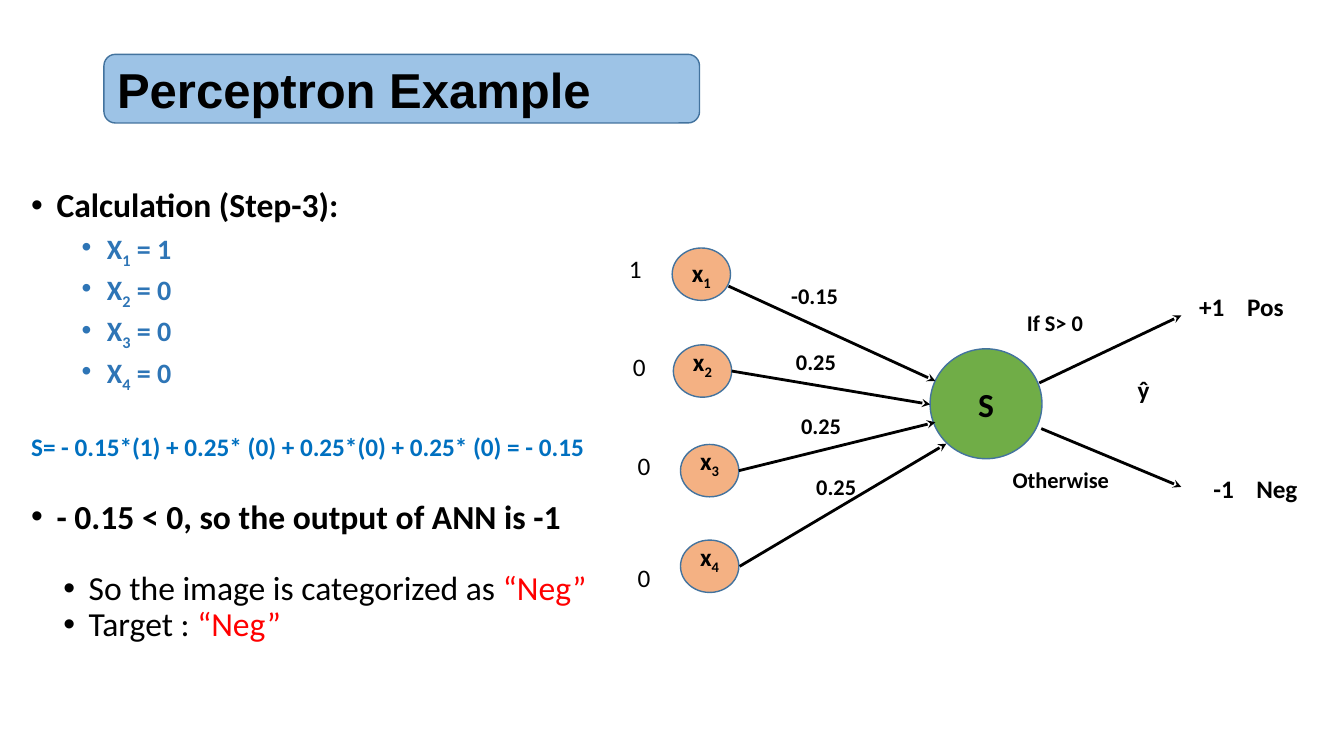
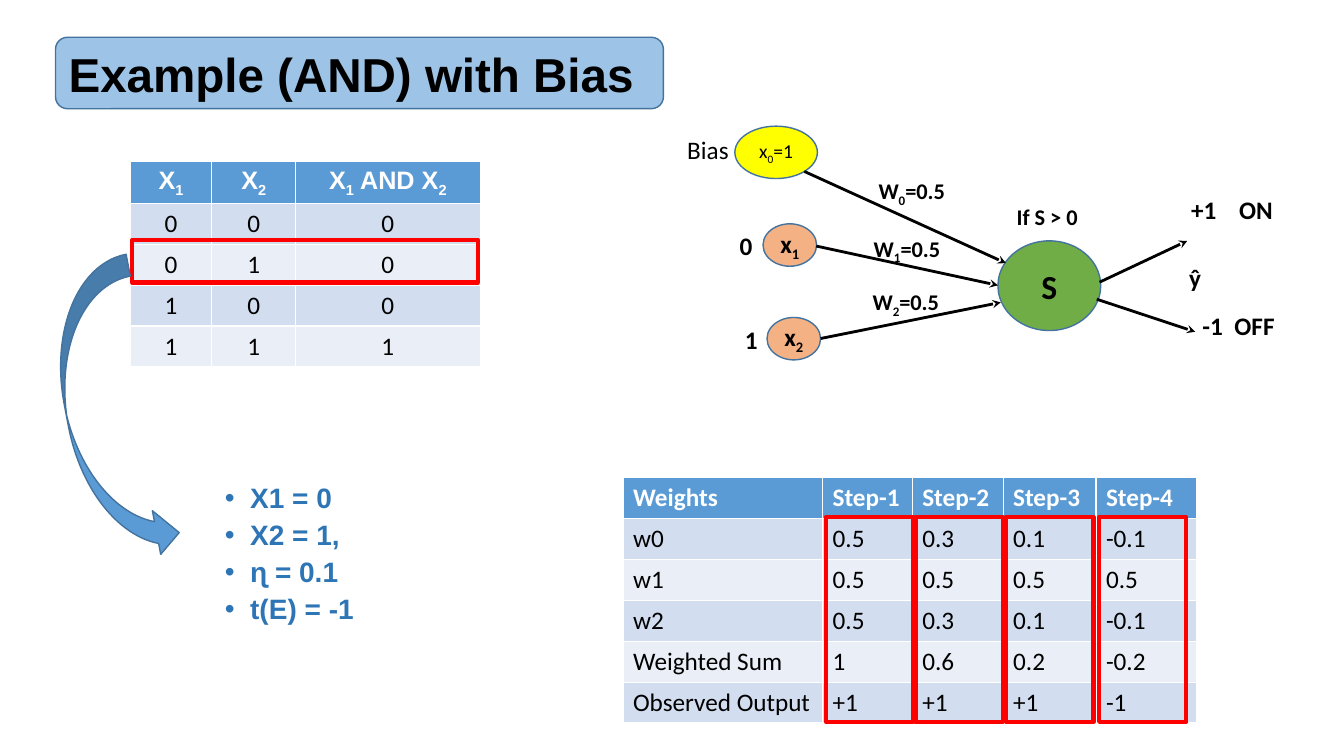
from dataclasses import dataclass
from typing import NamedTuple

from lxml import etree
from pptx import Presentation
from pptx.dml.color import RGBColor
from pptx.enum.shapes import MSO_CONNECTOR, MSO_SHAPE
from pptx.enum.text import MSO_ANCHOR, MSO_AUTO_SIZE, PP_ALIGN
from pptx.oxml.ns import qn
from pptx.util import Cm, Pt

STRAIGHT = MSO_CONNECTOR.STRAIGHT
ELLIPSE, RECTANGLE = MSO_SHAPE.OVAL, MSO_SHAPE.RECTANGLE
ROUNDED, CURVED_ARROW = MSO_SHAPE.ROUNDED_RECTANGLE, MSO_SHAPE.CURVED_RIGHT_ARROW
MIDDLE = MSO_ANCHOR.MIDDLE
LEFT, CENTER = PP_ALIGN.LEFT, PP_ALIGN.CENTER

BLACK = RGBColor(0x00, 0x00, 0x00)
WHITE = RGBColor(0xFF, 0xFF, 0xFF)
RED = RGBColor(0xFF, 0x00, 0x00)
YELLOW = RGBColor(0xFF, 0xFF, 0x00)
ORANGE = RGBColor(0xF4, 0xB1, 0x83)
GREEN = RGBColor(0x70, 0xAD, 0x47)
BAND_BLUE = RGBColor(0x9D, 0xC3, 0xE6)
OUTLINE_BLUE = RGBColor(0x43, 0x73, 0x9E)
ACCENT_BLUE = RGBColor(0x5B, 0x9B, 0xD5)
TEXT_BLUE = RGBColor(0x2E, 0x75, 0xB6)
FORMULA_BLUE = RGBColor(0x00, 0x70, 0xC0)
ROW_DARK = RGBColor(0xD2, 0xDE, 0xEF)
ROW_LIGHT = RGBColor(0xEA, 0xEF, 0xF7)

TITLE_AND_CONTENT = 1
ROW_HEIGHT = 1.03


class Box(NamedTuple):
    """Left, top, width and height in centimetres."""
    left: float
    top: float
    width: float
    height: float

    def lengths(self) -> list:
        return [Cm(value) for value in self]


class Style(NamedTuple):
    size: int = 18
    color: RGBColor = BLACK
    bold: bool = True
    font: str = "Calibri"


class Arrow(NamedTuple):
    start_x: float
    start_y: float
    end_x: float
    end_y: float


@dataclass
class Node:
    text: str
    box: Box
    fill: RGBColor = ORANGE
    style: Style = Style()
    lift: float = 0


@dataclass
class Label:
    text: str
    left: float
    top: float
    width: float = 2.0
    style: Style = Style()
    tab: float = 0


@dataclass
class ListItem:
    text: str
    style: Style
    level: int = 0
    indent: float = 0.64
    space_before: float = 0
    bullet: bool = True
    red_ending: str = ""


SMALL = Style(16)
PLAIN = Style(bold=False)
LARGE = Style(24)
LARGE_PLAIN = Style(24, bold=False)
INPUT_VALUE = Style(20, TEXT_BLUE)
TRAINING_VALUE = Style(20, TEXT_BLUE, font="Arial")


def add_run(paragraph, text: str, style: Style, subscript: bool = False) -> None:
    run = paragraph.add_run()
    run.text = text
    run.font.size = Pt(style.size)
    run.font.bold = style.bold
    run.font.name = style.font
    run.font.color.rgb = style.color
    if subscript:
        run.font._element.set("baseline", "-25000")


def write(paragraph, text: str, style: Style, alignment=LEFT) -> None:
    """Write text in which the character after an underscore is a subscript."""
    paragraph.alignment = alignment
    first, *others = text.split("_")
    if first:
        add_run(paragraph, first, style)
    for piece in others:
        add_run(paragraph, piece[0], style, subscript=True)
        if piece[1:]:
            add_run(paragraph, piece[1:], style)


def add_figure(slide, kind, box: Box, fill: RGBColor | None,
               line: RGBColor = OUTLINE_BLUE, line_width: float = 1):
    shape = slide.shapes.add_shape(kind, *box.lengths())
    shape.shadow.inherit = False
    if fill is None:
        shape.fill.background()
    else:
        shape.fill.solid()
        shape.fill.fore_color.rgb = fill
    shape.line.color.rgb = line
    shape.line.width = Pt(line_width)
    return shape


def add_red_frame(slide, box: Box) -> None:
    add_figure(slide, RECTANGLE, box, None, RED, 3)


def place(placeholder, box: Box):
    placeholder.left, placeholder.top, placeholder.width, placeholder.height = box.lengths()
    text_frame = placeholder.text_frame
    text_frame.word_wrap = True
    text_frame.auto_size = MSO_AUTO_SIZE.NONE
    return text_frame


def add_title(slide, text: str, box: Box, size: int) -> None:
    """Lay the title over a rounded band of the same size."""
    title = slide.shapes.title
    band = add_figure(slide, ROUNDED, box, BAND_BLUE)
    title.element.addprevious(band.element)
    text_frame = place(title, box)
    text_frame.margin_left = Cm(0.33)
    text_frame.vertical_anchor = MIDDLE
    write(text_frame.paragraphs[0], text, Style(size, font="Arial"))


def add_list(slide, items: list[ListItem], box: Box) -> None:
    text_frame = place(slide.placeholders[1], box)
    text_frame.vertical_anchor = MSO_ANCHOR.TOP
    for index, item in enumerate(items):
        paragraph = text_frame.add_paragraph() if index else text_frame.paragraphs[0]
        paragraph.level = item.level
        properties = paragraph._p.get_or_add_pPr()
        properties.set("marL", str(Cm(item.indent)))
        properties.set("indent", str(Cm(-0.64 if item.bullet else 0)))
        if item.bullet:
            etree.SubElement(properties, qn("a:buFont"), typeface="Arial")
            etree.SubElement(properties, qn("a:buChar"), char="•")
        else:
            etree.SubElement(properties, qn("a:buNone"))
        paragraph.line_spacing = 0.9
        paragraph.space_before = Pt(item.space_before)
        write(paragraph, item.text, item.style)
        if item.red_ending:
            add_run(paragraph, item.red_ending, item.style._replace(color=RED))


def add_node(slide, node: Node) -> None:
    shape = add_figure(slide, ELLIPSE, node.box, node.fill)
    text_frame = shape.text_frame
    text_frame.word_wrap = False
    text_frame.vertical_anchor = MIDDLE
    text_frame.margin_left = text_frame.margin_right = text_frame.margin_top = 0
    text_frame.margin_bottom = Cm(2 * node.lift)
    write(text_frame.paragraphs[0], node.text, node.style, CENTER)


def add_arrow(slide, arrow: Arrow) -> None:
    connector = slide.shapes.add_connector(STRAIGHT, *[Cm(value) for value in arrow])
    connector.line.color.rgb = BLACK
    connector.line.width = Pt(2)
    etree.SubElement(connector.line._get_or_add_ln(), qn("a:tailEnd"), type="stealth")
    etree.SubElement(connector.element.spPr, qn("a:effectLst"))


def add_label(slide, label: Label) -> None:
    box = Box(label.left, label.top, label.width, 1.02)
    text_frame = slide.shapes.add_textbox(*box.lengths()).text_frame
    text_frame.word_wrap = True
    paragraph = text_frame.paragraphs[0]
    if label.tab:
        tabs = etree.SubElement(paragraph._p.get_or_add_pPr(), qn("a:tabLst"))
        etree.SubElement(tabs, qn("a:tab"), pos=str(Cm(label.tab)), algn="l")
    write(paragraph, label.text, label.style)


def add_network(slide, nodes: list[Node], arrows: list[Arrow], labels: list[Label]) -> None:
    for node in nodes:
        add_node(slide, node)
    for arrow in arrows:
        add_arrow(slide, arrow)
    for label in labels:
        add_label(slide, label)


def add_grid(slide, rows: list[list[str]], left: float, top: float, widths: list[float],
             header_font: str, alignment) -> None:
    box = Box(left, top, sum(widths), ROW_HEIGHT * len(rows))
    table = slide.shapes.add_table(len(rows), len(widths), *box.lengths()).table
    for column, width in zip(table.columns, widths):
        column.width = Cm(width)
    for row_index, row in enumerate(rows):
        if row_index == 0:
            fill, style = ACCENT_BLUE, Style(color=WHITE, font=header_font)
        else:
            fill, style = (ROW_DARK if row_index % 2 else ROW_LIGHT), PLAIN
        for column_index, text in enumerate(row):
            cell = table.cell(row_index, column_index)
            cell.fill.solid()
            cell.fill.fore_color.rgb = fill
            write(cell.text_frame.paragraphs[0], text, style, alignment)


def build_perceptron_slide(slide) -> None:
    add_title(slide, "Perceptron Example", Box(2.62, 1.37, 15.01, 1.73), 35)
    inputs = [ListItem(f"X_{number} = {value}", INPUT_VALUE, 1, 1.91, 5)
              for number, value in enumerate([1, 0, 0, 0], start=1)]
    add_list(slide, [
        ListItem("Calculation (Step-3):", LARGE),
        *inputs,
        ListItem("S= - 0.15*(1) + 0.25* (0) + 0.25*(0) + 0.25* (0) = - 0.15",
                 Style(18, FORMULA_BLUE), 1, 0, 32, bullet=False),
        ListItem("- 0.15 < 0, so the output of ANN is -1", LARGE, 1, space_before=27),
        ListItem("So the image is categorized as ", LARGE_PLAIN, 2, 1.45, 25,
                 red_ending="“Neg”"),
        ListItem("Target : ", LARGE_PLAIN, 2, 1.45, red_ending="“Neg”"),
    ], Box(0.53, 4.62, 15.3, 12.7))
    nodes = [
        Node("x_1", Box(16.94, 6.25, 1.47, 1.32)),
        Node("x_2", Box(16.97, 8.69, 1.47, 1.32), lift=0.2),
        Node("x_3", Box(17.15, 11.2, 1.47, 1.32), lift=0.2),
        Node("x_4", Box(17.15, 13.61, 1.47, 1.32), lift=0.2),
        Node("S", Box(23.44, 8.79, 2.82, 2.77), GREEN, LARGE),
    ]
    arrows = [
        Arrow(18.36, 7.21, 23.57, 9.6), Arrow(18.44, 9.35, 23.44, 10.19),
        Arrow(18.62, 11.86, 23.57, 10.64), Arrow(18.64, 14.27, 23.85, 11.18),
        Arrow(26.19, 9.65, 29.77, 7.95), Arrow(26.24, 10.8, 29.77, 12.27),
    ]
    labels = [
        Label("1", 15.6, 6.25, 1.2, PLAIN), Label("0", 15.7, 8.74, 1.2, PLAIN),
        Label("0", 15.82, 11.23, 1.2, PLAIN), Label("0", 15.82, 14.05, 1.2, PLAIN),
        Label("-0.15", 19.69, 6.99, style=SMALL), Label("0.25", 19.81, 8.66, style=SMALL),
        Label("0.25", 19.94, 10.26, style=SMALL), Label("0.25", 20.32, 11.79, style=SMALL),
        Label("If S> 0", 25.63, 7.67, 2.64, SMALL), Label("Otherwise", 25.27, 11.61, 3.07, SMALL),
        Label("ŷ", 28.42, 9.32, 1.32),
        Label("+1\tPos", 29.97, 7.21, 3.5, tab=1.21), Label("-1\tNeg", 30.33, 11.79, 3.3, tab=1.08),
    ]
    add_network(slide, nodes, arrows, labels)


def build_bias_slide(slide) -> None:
    add_title(slide, "Example (AND) with Bias", Box(1.4, 0.94, 15.32, 1.8), 34)
    truth_rows = [[str(a), str(b), str(a & b)] for a in (0, 1) for b in (0, 1)]
    add_grid(slide, [["X_1", "X_2", "X_1 AND X_2"], *truth_rows],
             3.28, 4.06, [2.06, 2.11, 4.65], "Arial", CENTER)
    add_red_frame(slide, Box(3.33, 6.05, 8.71, 1.07))
    arrow = add_figure(slide, CURVED_ARROW, Box(1.68, 6.55, 2.24, 7.7), ACCENT_BLUE)
    arrow.rotation = 349.2
    values = ["X1 = 0", "X2 = 1,", "ɳ = 0.1", "t(E) = -1"]
    add_list(slide, [ListItem(text, TRAINING_VALUE, 1, space_before=5 if index else 0)
                     for index, text in enumerate(values)], Box(5.41, 12.07, 8.03, 5.23))

    left, top, widths = 15.7, 12.04, [5.03, 2.26, 2.29, 2.34, 2.54]
    add_grid(slide, [
        ["Weights", "Step-1", "Step-2", "Step-3", "Step-4"],
        ["w0", "0.5", "0.3", "0.1", "-0.1"],
        ["w1", "0.5", "0.5", "0.5", "0.5"],
        ["w2", "0.5", "0.3", "0.1", "-0.1"],
        ["Weighted Sum", "1", "0.6", "0.2", "-0.2"],
        ["Observed Output", "+1", "+1", "+1", "-1"],
    ], left, top, widths, "Calibri", LEFT)
    for step in range(1, len(widths)):
        add_red_frame(slide, Box(left + sum(widths[:step]) + 0.08, 13.03, 2.2, 5.16))

    nodes = [
        Node("x_0=1", Box(18.52, 3.18, 2.08, 1.32), YELLOW, Style(14, bold=False)),
        Node("x_1", Box(19.23, 5.64, 1.35, 1.07)),
        Node("x_2", Box(19.33, 8.0, 1.35, 1.07)),
        Node("S", Box(25.15, 6.07, 2.59, 2.26), GREEN, LARGE),
    ]
    arrows = [
        Arrow(20.27, 4.32, 25.35, 6.63), Arrow(20.57, 6.2, 25.15, 7.19),
        Arrow(20.68, 8.53, 25.22, 7.62), Arrow(27.71, 7.11, 29.92, 6.07),
        Arrow(27.64, 7.54, 30.12, 8.36),
    ]
    labels = [
        Label("Bias", 17.07, 3.25, 1.73, PLAIN),
        Label("0", 18.39, 5.69, 1.2), Label("1", 18.52, 8.05, 1.2),
        Label("W_0=0.5", 21.89, 4.34, 2.64, SMALL), Label("W_1=0.5", 21.77, 5.79, 2.64, SMALL),
        Label("W_2=0.5", 21.74, 7.14, 2.64, SMALL), Label("If S > 0", 25.37, 5.0, 2.64, SMALL),
        Label("ŷ", 29.72, 6.48, 1.2),
        Label("+1\tON", 29.77, 4.78, 3.05, tab=1.21), Label("-1\tOFF", 30.05, 7.7, 2.79, tab=0.81),
    ]
    add_network(slide, nodes, arrows, labels)


def main() -> None:
    presentation = Presentation()
    presentation.slide_width, presentation.slide_height = Cm(33.87), Cm(19.05)
    layout = presentation.slide_layouts[TITLE_AND_CONTENT]
    for build in (build_perceptron_slide, build_bias_slide):
        build(presentation.slides.add_slide(layout))
    presentation.save("out.pptx")


if __name__ == "__main__":
    main()
